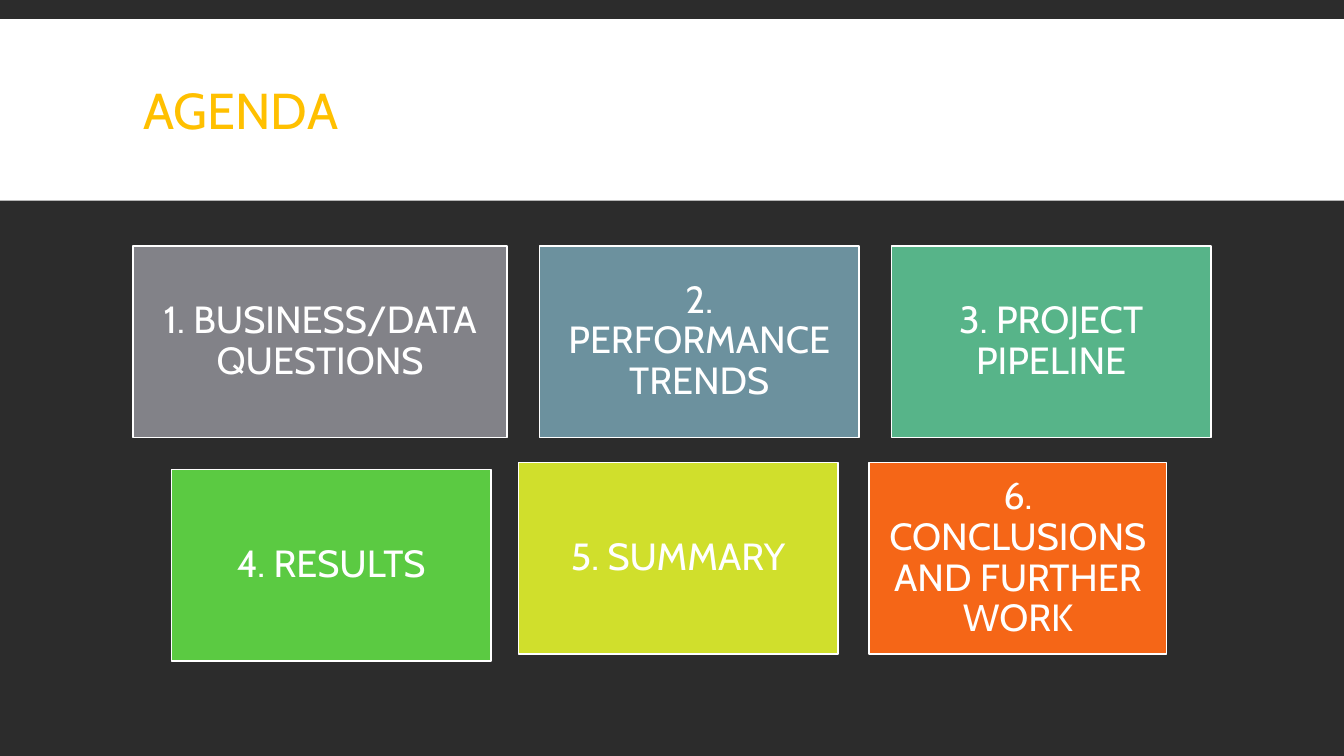
from dataclasses import dataclass

from pptx import Presentation
from pptx.dml.color import RGBColor
from pptx.enum.shapes import MSO_SHAPE
from pptx.enum.text import MSO_ANCHOR, MSO_AUTO_SIZE, PP_ALIGN
from pptx.util import Inches, Pt


@dataclass(frozen=True)
class Theme:
    font: str = "Cabin"
    background: str = "2C2C2C"
    white: str = "FFFFFF"
    title: str = "FFC000"
    title_size: int = 36
    card_size: int = 27
    outline: int = 1


THEME = Theme()
SLIDE_W, SLIDE_H = 13.33, 7.5
CARD_H = 1.9
# text, fill, left, top, width
CARDS = [
    ("1. BUSINESS/DATA QUESTIONS", "828288", 1.32, 2.44, 3.71),
    ("2. PERFORMANCE TRENDS", "6C919E", 5.35, 2.44, 3.17),
    ("3. PROJECT PIPELINE", "57B489", 8.84, 2.44, 3.17),
    ("4. RESULTS", "5BCA42", 1.7, 4.66, 3.17),
    ("5. SUMMARY", "D0DF2C", 5.14, 4.59, 3.17),
    ("6. CONCLUSIONS AND FURTHER WORK", "F56617", 8.62, 4.59, 2.95),
]


def rgb(value):
    return RGBColor.from_string(value)


def apply(target, values):
    for name, value in values.items():
        setattr(target, name, value)


def write(shape, text, size, color, align, spacing, inset):
    """Fill a shape with one vertically centred paragraph."""
    tf = shape.text_frame
    apply(tf, {"word_wrap": True, "auto_size": MSO_AUTO_SIZE.NONE,
               "vertical_anchor": MSO_ANCHOR.MIDDLE,
               "margin_left": Inches(inset), "margin_right": Inches(inset)})
    p = tf.paragraphs[0]
    apply(p, {"alignment": align, "line_spacing": spacing})
    r = p.add_run()
    r.text = text
    apply(r.font, {"name": THEME.font, "size": Pt(size)})
    r.font.color.rgb = rgb(color)


def add_box(s, fill, left, top, width, height):
    sp = s.shapes.add_shape(MSO_SHAPE.RECTANGLE, Inches(left), Inches(top),
                            Inches(width), Inches(height))
    sp.shadow.inherit = False
    sp.fill.solid()
    sp.fill.fore_color.rgb = rgb(fill)
    sp.line.fill.background()
    return sp


def add_header(s, text, left, top, width, height):
    """Place the title on a full-width band, band behind the title."""
    band = add_box(s, THEME.white, left, top, width, height)
    title = s.shapes.title
    title.element.addprevious(band.element)
    apply(title, {"left": Inches(left + 1.32), "top": Inches(top + 0.12),
                  "width": Inches(10.7), "height": Inches(1.65)})
    write(title, text, THEME.title_size, THEME.title, PP_ALIGN.LEFT, 0.85, 0.1)


def add_card(s, text, fill, left, top, width):
    card = add_box(s, fill, left, top, width, CARD_H)
    card.line.color.rgb = rgb(THEME.white)
    card.line.width = Pt(THEME.outline)
    write(card, text, THEME.card_size, THEME.white, PP_ALIGN.CENTER, 0.9, 0.11)


def main():
    prs = Presentation()
    apply(prs, {"slide_width": Inches(SLIDE_W), "slide_height": Inches(SLIDE_H)})
    s = prs.slides.add_slide(prs.slide_layouts[5])
    s.background.fill.solid()
    s.background.fill.fore_color.rgb = rgb(THEME.background)
    add_header(s, "AGENDA", 0, 0.19, SLIDE_W, 1.8)
    for card in CARDS:
        add_card(s, *card)
    prs.save("out.pptx")


if __name__ == "__main__":
    main()
